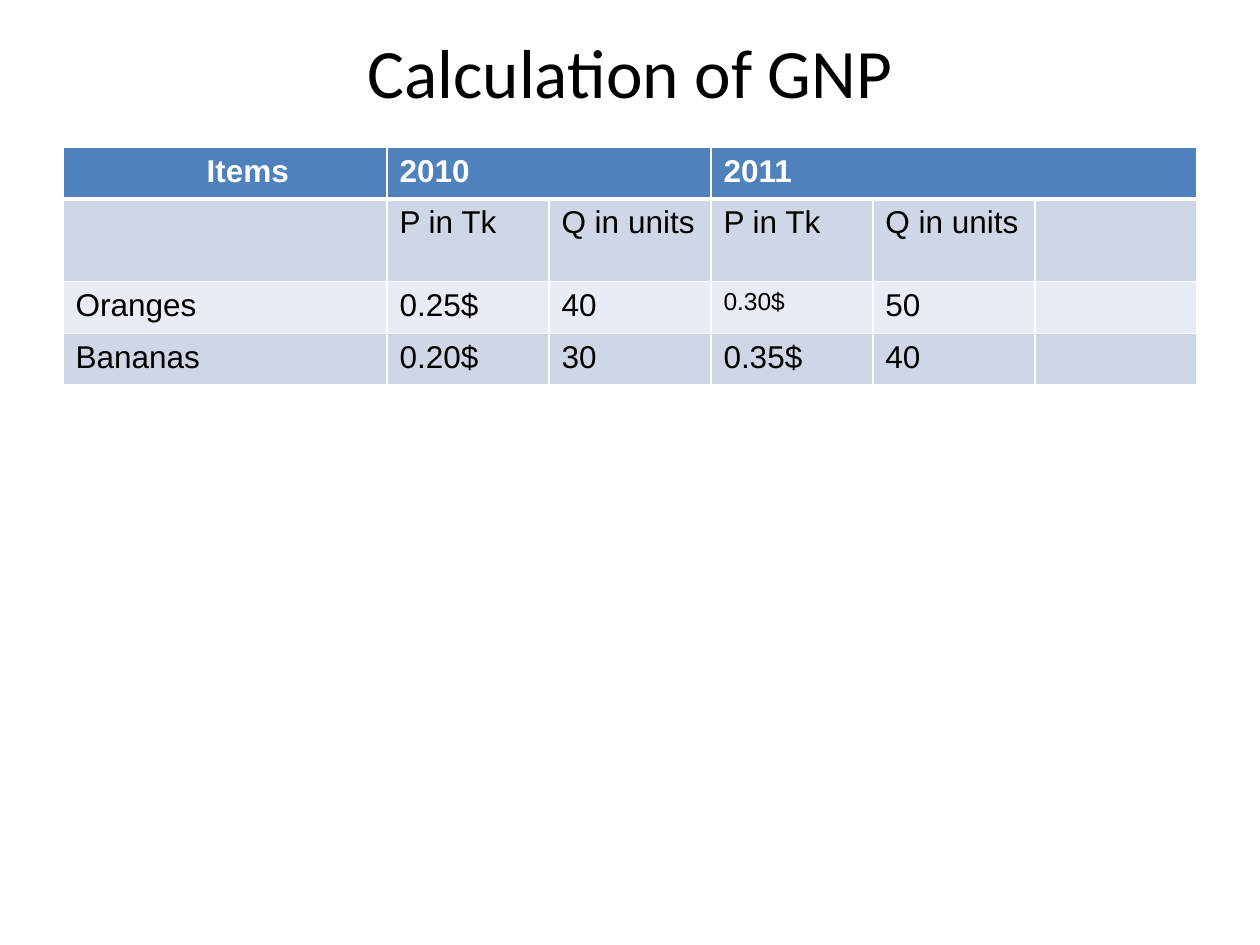
from lxml import etree
from pptx import Presentation
from pptx.dml.color import RGBColor
from pptx.enum.text import MSO_ANCHOR, MSO_AUTO_SIZE, PP_ALIGN
from pptx.oxml.ns import qn
from pptx.util import Inches, Pt

MIDDLE = MSO_ANCHOR.MIDDLE
NO_FIT = MSO_AUTO_SIZE.NONE
CENTER = PP_ALIGN.CENTER

WIDE, HIGH = 10, 7.5
EDGE = 0.05 * WIDE
COL = (WIDE - 2 * EDGE) / 7
ROW = 0.41
INDENT = 1.14

COLORS = {
    "text": "000000",
    "white": "FFFFFF",
    "head": "4F81BD",
    "dark": "CFD7E7",
    "light": "E8ECF4",
}
TITLE = {"name": "Calibri", "size": Pt(39.6), "bold": False}
HEAD = {"name": "Arial", "size": Pt(18), "bold": True}
BODY = {**HEAD, "bold": False}
SMALL = {**BODY, "size": Pt(14)}

SPANS = [2, 1, 1, 1, 1, 1]
LINES = [1, 1.6, 1, 1]
ROWS = [
    ["Items", "2010", "", "2011", "", ""],
    ["", "P in Tk", "Q in units", "P in Tk", "Q in units", ""],
    ["Oranges", "0.25$", "40", "0.30$", "50", ""],
    ["Bananas", "0.20$", "30", "0.35$", "40", ""],
]
MERGES = [(1, 2), (3, 5)]
MINOR = (2, 3)


def style(font, form, color):
    """Apply a dict of format values and a colour to a font."""
    for key, value in form.items():
        setattr(font, key, value)
    font.color.rgb = RGBColor.from_string(COLORS[color])


def add_title(slide, text):
    """Add the centred slide title."""
    box = slide.shapes.add_textbox(
        Inches(EDGE), Inches(0.04 * HIGH),
        Inches(WIDE - 2 * EDGE), Inches(0.07 * HIGH))
    frame = box.text_frame
    form = {"word_wrap": True, "auto_size": NO_FIT, "vertical_anchor": MIDDLE}
    for key, value in form.items():
        setattr(frame, key, value)
    para = frame.paragraphs[0]
    para.alignment = CENTER
    run = para.add_run()
    run.text = text
    style(run.font, TITLE, "text")


def add_edges(cell, widths):
    """Draw white cell borders with the given point widths."""
    props = cell._tc.get_or_add_tcPr()
    for side, width in widths.items():
        line = etree.SubElement(props, qn("a:ln" + side), w=str(Pt(width)))
        fill = etree.SubElement(line, qn("a:solidFill"))
        etree.SubElement(fill, qn("a:srgbClr"), val=COLORS["white"])


def fill_cell(cell, text, form, ink, back, widths):
    """Set the text, borders and fill of one table cell."""
    add_edges(cell, widths)
    cell.fill.solid()
    cell.fill.fore_color.rgb = RGBColor.from_string(COLORS[back])
    para = cell.text_frame.paragraphs[0]
    style(para.font, form, ink)
    if text:
        run = para.add_run()
        run.text = text
        style(run.font, form, ink)


def add_grid(slide):
    """Add the table of prices and amounts."""
    frame = slide.shapes.add_table(
        len(ROWS), len(SPANS), Inches(EDGE), Inches(1.17),
        Inches(COL * sum(SPANS)), Inches(ROW * sum(LINES)))
    table = frame.table
    for col, span in zip(table.columns, SPANS):
        col.width = Inches(COL * span)
    for row, lines in zip(table.rows, LINES):
        row.height = Inches(ROW * lines)

    for r, words in enumerate(ROWS):
        top = r == 0
        form, ink = (HEAD, "white") if top else (BODY, "text")
        back = "head" if top else ("dark" if r % 2 else "light")
        widths = {"L": 1, "R": 1, "T": 3 if r == 1 else 1, "B": 3 if top else 1}
        for c, text in enumerate(words):
            look = SMALL if (r, c) == MINOR else form
            fill_cell(table.cell(r, c), text, look, ink, back, widths)

    table.cell(0, 0).margin_left = Inches(INDENT)
    for first, last in MERGES:
        table.cell(0, first).merge(table.cell(0, last))


def main():
    """Build the slide and save it."""
    deck = Presentation()
    deck.slide_width, deck.slide_height = Inches(WIDE), Inches(HIGH)
    slide = deck.slides.add_slide(deck.slide_layouts[6])
    add_title(slide, "Calculation of GNP")
    add_grid(slide)
    deck.save("out.pptx")


main()
